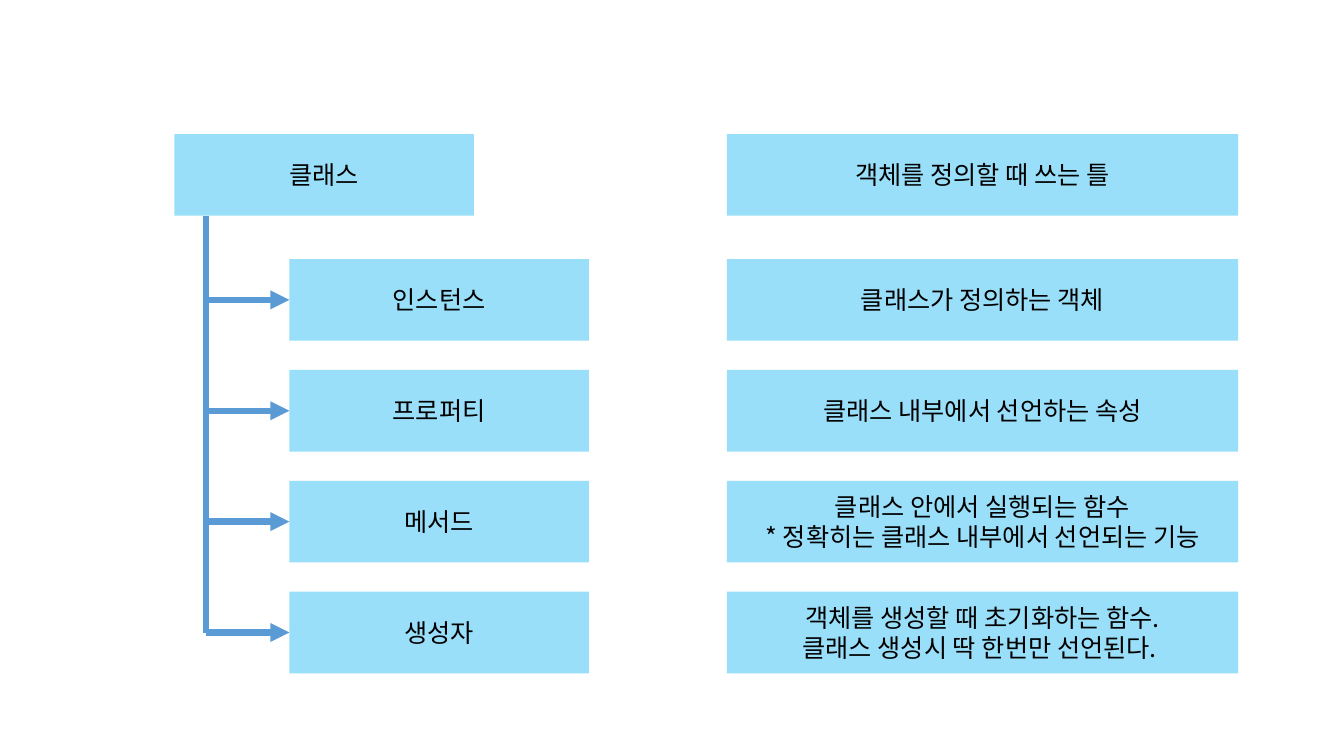
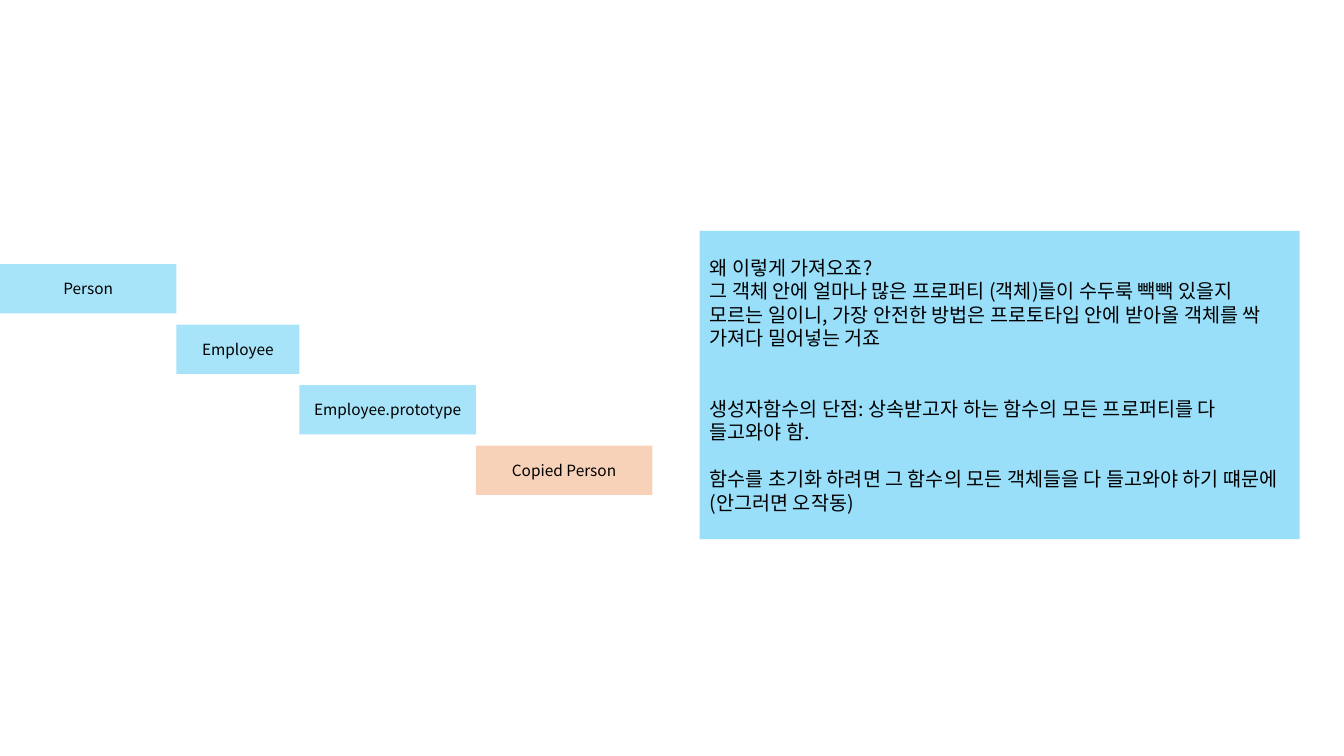
from lxml.etree import SubElement
from pptx import Presentation
from pptx.dml.color import RGBColor
from pptx.enum.shapes import MSO_CONNECTOR, MSO_SHAPE
from pptx.enum.text import MSO_ANCHOR, PP_ALIGN
from pptx.oxml.ns import qn
from pptx.util import Inches, Pt

FONT = "Noto Sans CJK KR"
BLUE, ORANGE, ARROW_BLUE, BLACK = "00B0F0", "ED7D31", "5B9BD5", "000000"
LINE_HEIGHT = 1.2


def add_box(page, position, lines, size, color=BLUE, opacity=40,
            align=PP_ALIGN.CENTER, gaps=None):
    """Add a translucent text box; gaps maps a line index to empty lines before it."""
    box = page.shapes.add_shape(MSO_SHAPE.RECTANGLE, *map(Inches, position))
    box.shadow.inherit = False
    box.line.fill.background()
    box.fill.solid()
    box.fill.fore_color.rgb = RGBColor.from_string(color)
    color_node = box._element.spPr.find(qn("a:solidFill"))[0]
    SubElement(color_node, qn("a:alpha"), val=str(opacity * 1000))

    frame = box.text_frame
    frame.word_wrap = True
    frame.vertical_anchor = MSO_ANCHOR.MIDDLE
    line_height = size * LINE_HEIGHT
    for index, line in enumerate(lines):
        para = frame.add_paragraph() if index else frame.paragraphs[0]
        paragraph_format = {
            "alignment": align,
            "line_spacing": Pt(line_height),
            "space_before": Pt(line_height * (gaps or {}).get(index, 0)),
        }
        for name, value in paragraph_format.items():
            setattr(para, name, value)
        span = para.add_run()
        span.text = line
        for name, value in {"name": FONT, "size": Pt(size)}.items():
            setattr(span.font, name, value)
        span.font.color.rgb = RGBColor.from_string(BLACK)
        SubElement(span._r.get_or_add_rPr(), qn("a:ea"), typeface=FONT)
    return box


def add_line(page, start, end, target=None):
    """Add a line, or an arrow joined to the left side of the target box."""
    line = page.shapes.add_connector(
        MSO_CONNECTOR.STRAIGHT, *map(Inches, start + end))
    line.line.color.rgb = RGBColor.from_string(ARROW_BLUE)
    line.line.width = Pt(4.5)
    if target is not None:
        line.end_connect(target, 1)
        SubElement(line.line._get_or_add_ln(), qn("a:tailEnd"), type="triangle")
    SubElement(line._element.spPr, qn("a:effectLst"))


deck = Presentation()
deck.slide_width, deck.slide_height = Inches(13.33), Inches(7.5)
blank = deck.slide_layouts[6]

# Class terms and their meanings
page = deck.slides.add_slide(blank)
ROW_HEIGHT, TERM_WIDTH, MEANING_WIDTH = 0.81, 2.97, 5.07
CLASS_LEFT, MEMBER_LEFT, MEANING_LEFT = 1.73, 2.87, 7.21
CLASS_TOP, MEMBER_TOP, ROW_STEP = 1.33, 2.57, 1.1
SPINE_LEFT = 2.04

members = [
    ("인스턴스", ["클래스가 정의하는 객체"]),
    ("프로퍼티", ["클래스 내부에서 선언하는 속성"]),
    ("메서드", ["클래스 안에서 실행되는 함수",
             "* 정확히는 클래스 내부에서 선언되는 기능"]),
    ("생성자", ["객체를 생성할 때 초기화하는 함수.",
             "클래스 생성시 딱 한번만 선언된다. "]),
]
add_box(page, (CLASS_LEFT, CLASS_TOP, TERM_WIDTH, ROW_HEIGHT), ["클래스"], 18)
add_box(page, (MEANING_LEFT, CLASS_TOP, MEANING_WIDTH, ROW_HEIGHT),
        ["객체를 정의할 때 쓰는 틀"], 18)
for row, (term, meaning) in enumerate(members):
    top = MEMBER_TOP + row * ROW_STEP
    middle = top + ROW_HEIGHT / 2
    term_box = add_box(page, (MEMBER_LEFT, top, TERM_WIDTH, ROW_HEIGHT), [term], 18)
    add_box(page, (MEANING_LEFT, top, MEANING_WIDTH, ROW_HEIGHT), meaning, 18)
    add_line(page, (SPINE_LEFT, middle), (MEMBER_LEFT, middle), term_box)
add_line(page, (SPINE_LEFT, CLASS_TOP + ROW_HEIGHT), (SPINE_LEFT, middle))

# Prototype staircase and explanation
page = deck.slides.add_slide(blank)
stairs = [
    ("Person", 1.75, BLUE),
    ("Employee", 1.22, BLUE),
    ("Employee.prototype", 1.75, BLUE),
    ("Copied Person", 1.75, ORANGE),
]
left, top = 0, 2.62
for label, width, color in stairs:
    add_box(page, (left, top, width, 0.49), [label], 11, color, opacity=34)
    left += width
    top += 0.6

explanation = [
    "왜 이렇게 가져오죠?",
    "그 객체 안에 얼마나 많은 프로퍼티 (객체)들이 수두룩 빽빽 있을지 모르는 일이니, "
    "가장 안전한 방법은 프로토타입 안에 받아올 객체를 싹 가져다 밀어넣는 거죠",
    "생성자함수의 단점: 상속받고자 하는 함수의 모든 프로퍼티를 다 들고와야 함.",
    "함수를 초기화 하려면 그 함수의 모든 객체들을 다 들고와야 하기 떄문에 (안그러면 오작동)",
]
add_box(page, (6.94, 2.29, 5.95, 3.06), explanation, 14,
        align=PP_ALIGN.LEFT, gaps={2: 2, 3: 1})

deck.save("out.pptx")
